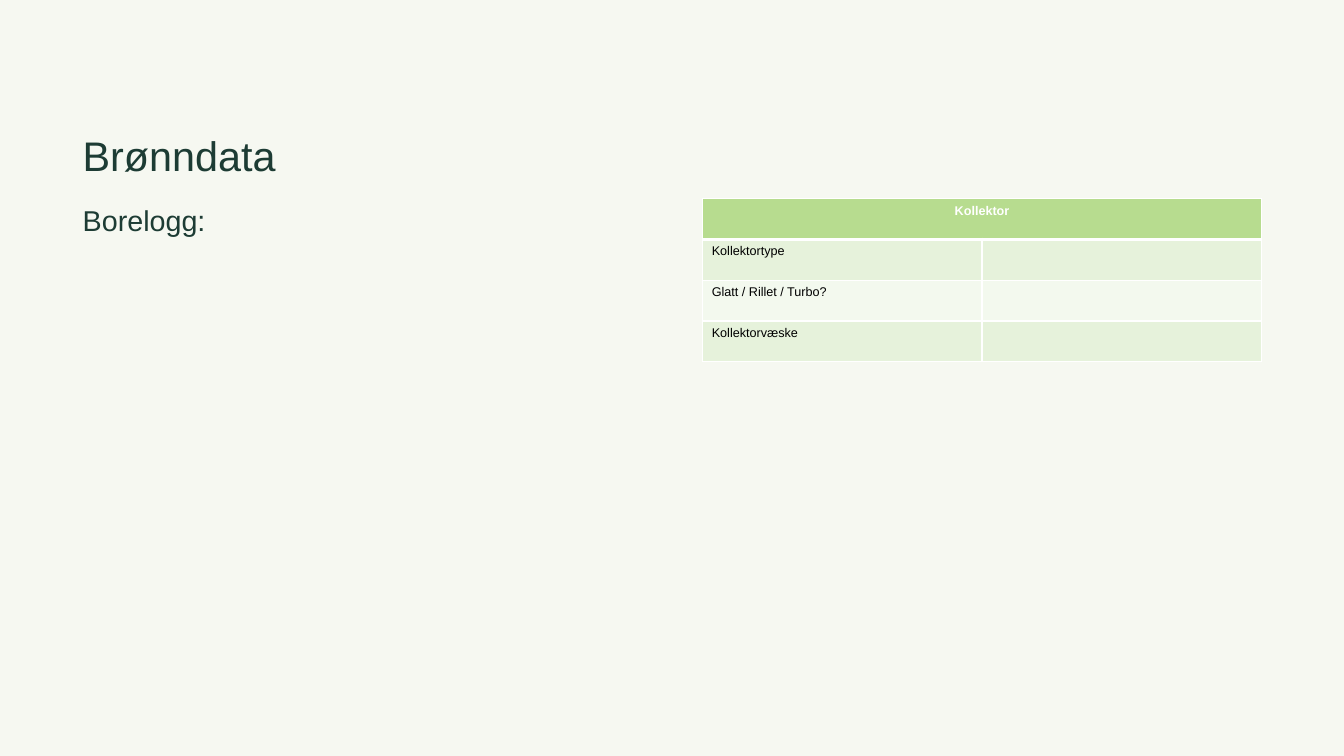
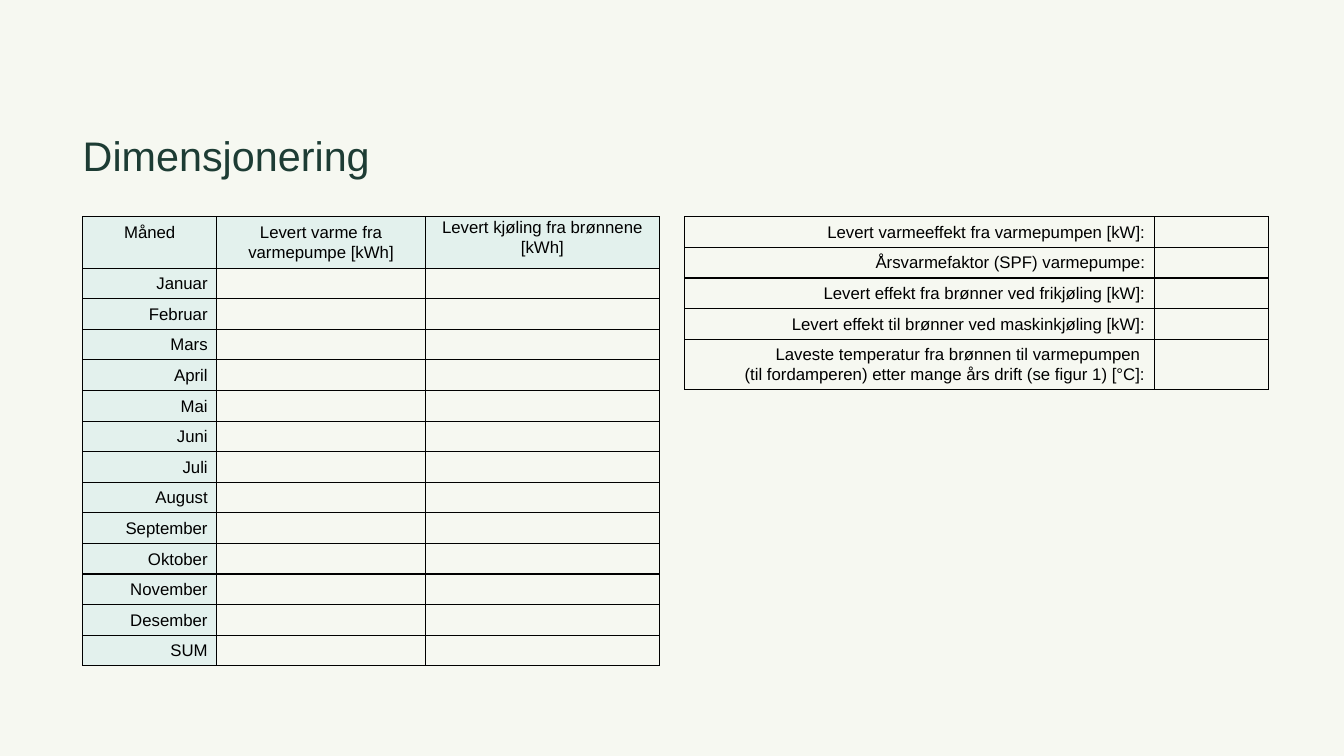
from pptx import Presentation
from pptx.dml.color import RGBColor as RGB
from pptx.enum.text import MSO_ANCHOR as ANCHOR, MSO_AUTO_SIZE as AUTO, PP_ALIGN as ALIGN
from pptx.oxml.ns import qn
from pptx.util import Inches, Pt
from lxml.etree import SubElement

FONT = "Arial"
PAPER, GREEN, MINT = "F6F8F1", "1D3C34", "E3F1ED"
LIME, PALE, FAINT = "B7DC8F", "E6F2DB", "F3F9EE"
BLACK, WHITE = "000000", "FFFFFF"
LEFT = 0.82
MONTHS = ["Januar", "Februar", "Mars", "April", "Mai", "Juni", "Juli",
          "August", "September", "Oktober", "November", "Desember"]
NEEDS = ["Levert varmeeffekt fra varmepumpen [kW]:",
         "Årsvarmefaktor (SPF) varmepumpe:",
         "Levert effekt fra brønner ved frikjøling [kW]:",
         "Levert effekt til brønner ved maskinkjøling [kW]:",
         "Laveste temperatur fra brønnen til varmepumpen \n"
         "(til fordamperen) etter mange års drift (se figur 1) [°C]:"]


def color(code):
    return RGB.from_string(code)


def put(frame, text, size=12, ink=BLACK, bold=False, align=ALIGN.LEFT,
        lead=1.0, before=0):
    for i, line in enumerate(text.split("\n")):
        para = frame.add_paragraph() if i else frame.paragraphs[0]
        para.alignment, para.line_spacing = align, lead
        para.space_before = Pt(before)
        if line:
            run = para.add_run()
            run.text = line
            font = run.font
            font.name, font.size, font.bold = FONT, Pt(size), bold
            font.color.rgb = color(ink)
        else:
            SubElement(para._p, qn("a:endParaRPr"), sz=str(int(size * 100)))


def inset(box, side, edge):
    box.margin_left = box.margin_right = Inches(side)
    box.margin_top = box.margin_bottom = Inches(edge)


def place(shape, x, y, w, h, pad=0):
    shape.left, shape.top = Inches(x), Inches(y)
    shape.width, shape.height = Inches(w), Inches(h)
    frame = shape.text_frame
    inset(frame, 0, pad)
    frame.word_wrap, frame.auto_size = True, AUTO.NONE
    frame.vertical_anchor = ANCHOR.TOP
    return frame


def page(deck, kind, title):
    slide = deck.slides.add_slide(deck.slide_layouts[kind])
    frame = place(slide.shapes.title, LEFT, 1.26, 11.68, 0.58, pad=0.05)
    put(frame, title, size=29.5, ink=GREEN, lead=Pt(34))
    return slide


def lead_in(slide, text):
    frame = place(slide.placeholders[1], LEFT, 1.97, 5.55, 0.58)
    put(frame, text, size=20.5, ink=GREEN, lead=1.12, before=10)
    props = frame.paragraphs[0]._p.get_or_add_pPr()
    props.set("marL", "0")
    props.set("indent", "0")
    SubElement(props, qn("a:buNone"))


def border(cell, ink, **widths):
    props = cell._tc.get_or_add_tcPr()
    for side in "LRTB":
        line = SubElement(props, qn("a:ln" + side), w=str(Pt(widths.get(side, 1))))
        fill = SubElement(line, qn("a:solidFill"))
        SubElement(fill, qn("a:srgbClr"), val=ink)


def paint(cell, fill):
    if fill:
        cell.fill.solid()
        cell.fill.fore_color.rgb = color(fill)
    else:
        cell.fill.background()


def grid(slide, x, y, cols, rows, data, look, edge=BLACK, rule=1):
    frame = slide.shapes.add_table(len(rows), len(cols), Inches(x), Inches(y),
                                   Inches(sum(cols)), Inches(sum(rows)))
    table = frame.table
    table.first_row = table.horz_banding = False
    for col, width in zip(table.columns, cols):
        col.width = Inches(width)
    for row, height in zip(table.rows, rows):
        row.height = Inches(height)
    for r, line in enumerate(data):
        for c, text in enumerate(line):
            cell = table.cell(r, c)
            fill, style = look(r, c)
            border(cell, edge, B=rule if r == 0 else 1, T=rule if r == 1 else 1)
            paint(cell, fill)
            inset(cell, 0.09, 0.05)
            put(cell.text_frame, text, **style)
    return table


def pipe_look(r, c):
    if r == 0:
        return LIME, dict(size=9, ink=WHITE, bold=True, align=ALIGN.CENTER)
    return (PALE if r % 2 else FAINT), dict(size=9)


def month_look(r, c):
    align = ALIGN.RIGHT if r else ALIGN.CENTER
    return (MINT if r == 0 or c == 0 else None), dict(align=align, lead=1.07)


def need_look(r, c):
    return None, dict(align=ALIGN.RIGHT, lead=1.07)


def well(deck):
    slide = page(deck, 1, "Brønndata")
    lead_in(slide, "Borelogg:")
    names = ["Kollektor", "Kollektortype", "Glatt / Rillet / Turbo?", "Kollektorvæske"]
    table = grid(slide, 6.97, 1.97, [2.77] * 2, [0.405] * 4,
                 [[name, ""] for name in names], pipe_look, edge=WHITE, rule=3)
    table.cell(0, 0).merge(table.cell(0, 1))


def sizing(deck):
    slide = page(deck, 5, "Dimensjonering")
    heads = ["Måned", "Levert varme fra varmepumpe [kWh]",
             "Levert kjøling fra brønnene [kWh]"]
    data = [heads] + [[name, "", ""] for name in MONTHS + ["SUM"]]
    table = grid(slide, LEFT, 2.15, [1.33, 2.07, 2.32], [0.51] + [0.3] * 13,
                 data, month_look)
    inset(table.cell(0, 2), 0, 0)
    grid(slide, 6.79, 2.15, [4.66, 1.13], [0.3] * 4 + [0.5],
         [[need, ""] for need in NEEDS], need_look)


def main():
    deck = Presentation()
    deck.slide_width, deck.slide_height = Inches(13.33), Inches(7.5)
    back = deck.slide_master.background.fill
    back.solid()
    back.fore_color.rgb = color(PAPER)
    well(deck)
    sizing(deck)
    deck.save("out.pptx")


if __name__ == "__main__":
    main()
